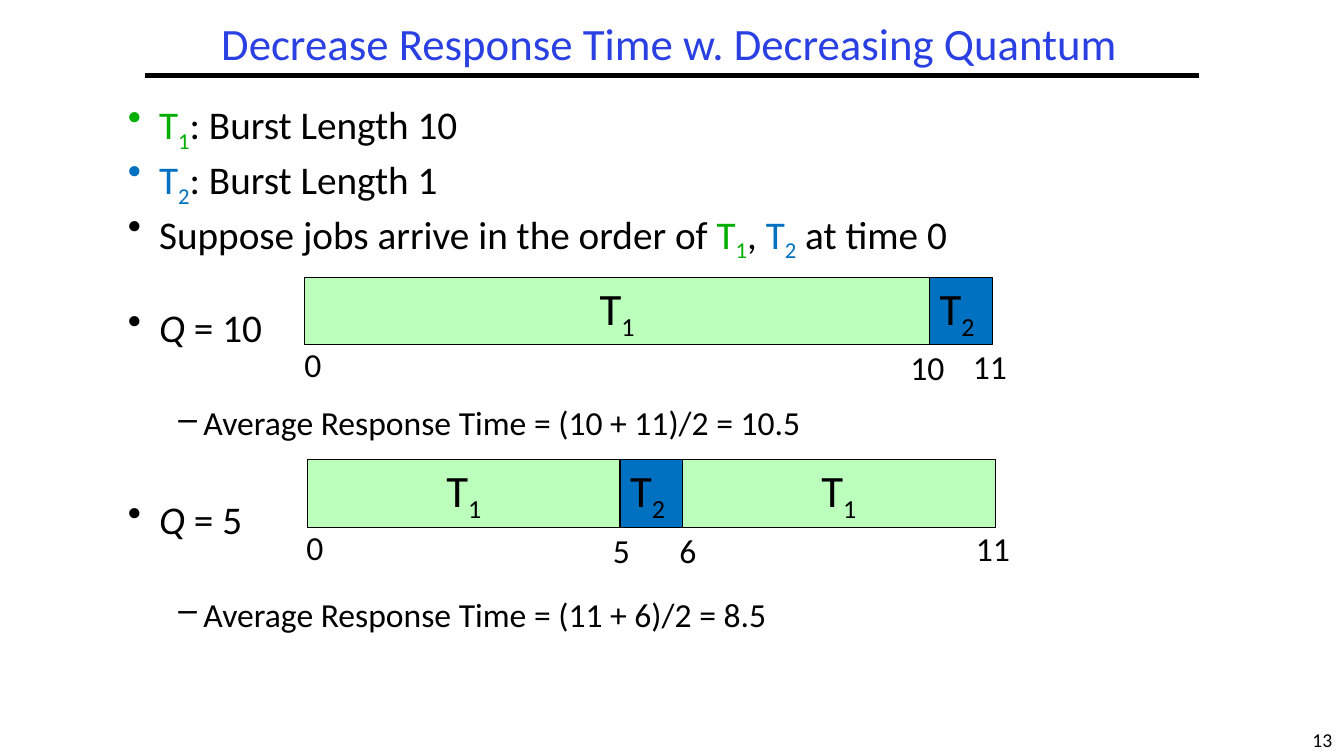
from pptx import Presentation
from pptx.dml.color import RGBColor
from pptx.enum.shapes import MSO_CONNECTOR, MSO_SHAPE
from pptx.enum.text import MSO_ANCHOR, PP_ALIGN
from pptx.oxml.ns import qn
from pptx.util import Emu, Pt
from lxml import etree

LEFT, CENTER = PP_ALIGN.LEFT, PP_ALIGN.CENTER
TOP, MIDDLE = MSO_ANCHOR.TOP, MSO_ANCHOR.MIDDLE
RECTANGLE, STRAIGHT = MSO_SHAPE.RECTANGLE, MSO_CONNECTOR.STRAIGHT
EMU_PER_PX = 9144  # 100 px to the inch
COLORS = {
    "black": "000000", "title": "2A40E2", "green": "00AE00",
    "blue": "0070C0", "light green": "BCFFBC",
}


class SlideBuilder:
    font_name = "Calibri"

    def __init__(self, slide):
        self.slide = slide

    def px(self, *lengths):
        return [Emu(length * EMU_PER_PX) for length in lengths]

    def color(self, name):
        return RGBColor.from_string(COLORS[name])

    def fill_paragraph(self, paragraph, runs, size, **paragraph_format):
        """Each run is a tuple: text, color and an optional style."""
        for name, value in paragraph_format.items():
            setattr(paragraph, name, value)
        for text, color, *style in runs:
            run = paragraph.add_run()
            run.text = text
            font = {"name": self.font_name, "size": Pt(size), "italic": "italic" in style}
            for name, value in font.items():
                setattr(run.font, name, value)
            run.font.color.rgb = self.color(color)
            if "subscript" in style:
                run.font._element.set("baseline", "-25000")

    def text(self, box, runs, size, anchor=MIDDLE, wrap=False, **paragraph_format):
        shape = self.slide.shapes.add_textbox(*self.px(*box))
        frame = shape.text_frame
        frame.word_wrap, frame.vertical_anchor = wrap, anchor
        self.fill_paragraph(frame.paragraphs[0], runs, size, **paragraph_format)

    def bullets(self, box, items):
        """Each item is: level, space before in points and runs."""
        levels = [("•", 31, 31, 28), ("–", 75, 25, 24)]
        frame = self.slide.shapes.add_textbox(*self.px(*box)).text_frame
        frame.word_wrap = True
        for index, (level, space, runs) in enumerate(items):
            paragraph = frame.add_paragraph() if index else frame.paragraphs[0]
            mark, margin, hanging, size = levels[level]
            properties = paragraph._p.get_or_add_pPr()
            properties.set("marL", str(margin * EMU_PER_PX))
            properties.set("indent", str(-hanging * EMU_PER_PX))
            etree.SubElement(properties, qn("a:buChar")).set("char", mark)
            self.fill_paragraph(paragraph, runs, size, level=level,
                                line_spacing=0.8, space_before=Pt(space))

    def bar(self, box, fill, runs, alignment):
        shape = self.slide.shapes.add_shape(RECTANGLE, *self.px(*box))
        shape.shadow.inherit = False
        shape.fill.solid()
        shape.fill.fore_color.rgb = self.color(fill)
        shape.line.color.rgb = self.color("black")
        shape.line.width = Pt(0.75)
        frame = shape.text_frame
        frame.word_wrap, frame.vertical_anchor = False, MIDDLE
        self.fill_paragraph(frame.paragraphs[0], runs, 32, alignment=alignment)

    def rule(self, x1, y1, x2, y2):
        line = self.slide.shapes.add_connector(STRAIGHT, *self.px(x1, y1, x2, y2))
        line.line.color.rgb = self.color("black")
        line.line.width = Pt(3)
        etree.SubElement(line._element.spPr, qn("a:effectLst"))


def job(number, color):
    return [("T", color), (number, color, "subscript")]


def plain(text):
    return [(text, "black")]


def quantum(value):
    return [("Q", "black", "italic"), (f" = {value}", "black")]


def main():
    presentation = Presentation()
    presentation.slide_width, presentation.slide_height = Emu(1333 * EMU_PER_PX), Emu(750 * EMU_PER_PX)
    builder = SlideBuilder(presentation.slides.add_slide(presentation.slide_layouts[6]))

    # Title, rule and page number
    builder.text((1290, 717, 43, 33), plain("13"), 14, anchor=TOP, alignment=CENTER)
    builder.rule(144, 75, 1189, 75)
    builder.text((142, 17, 1044, 58), [("Decrease Response Time w. Decreasing Quantum", "title")],
                 32, wrap=True, alignment=CENTER, line_spacing=0.9)

    # Jobs and response times
    first, second = job("1", "green"), job("2", "blue")
    builder.bullets((117, 100, 1150, 576), [
        (0, 0, first + plain(": Burst Length 10")),
        (0, 8.4, second + plain(": Burst Length 1")),
        (0, 8.4, plain("Suppose jobs arrive in the order of ") + first + plain(", ")
         + second + plain(" at time 0")),
        (0, 39, quantum(10)),
        (1, 43, plain("Average Response Time = (10 + 11)/2 = 10.5")),
        (0, 44, quantum(5)),
        (1, 43, plain("Average Response Time = (11 + 6)/2 = 8.5")),
    ])

    # Timelines: left, top, (job, duration) pairs, (time, left, top) labels
    unit, bar_height = 62, 67
    styles = {"1": ("light green", CENTER), "2": ("blue", LEFT)}
    timelines = [
        (302, 275, [("1", 10), ("2", 1)],
         [("0", 292, 336), ("10", 893, 339), ("11", 955, 338)]),
        (305, 456, [("1", 5), ("2", 1), ("1", 5)],
         [("0", 294, 518), ("5", 598, 521), ("6", 664, 521), ("11", 958, 519)]),
    ]
    label_widths = {1: 39, 2: 56}
    for left, top, bursts, labels in timelines:
        for number, duration in bursts:
            fill, alignment = styles[number]
            width = duration * unit
            builder.bar((left, top, width, bar_height), fill, job(number, "black"), alignment)
            left += width
        for time, label_left, label_top in labels:
            builder.text((label_left, label_top, label_widths[len(time)], 50), plain(time), 24)

    presentation.save("out.pptx")


if __name__ == "__main__":
    main()
